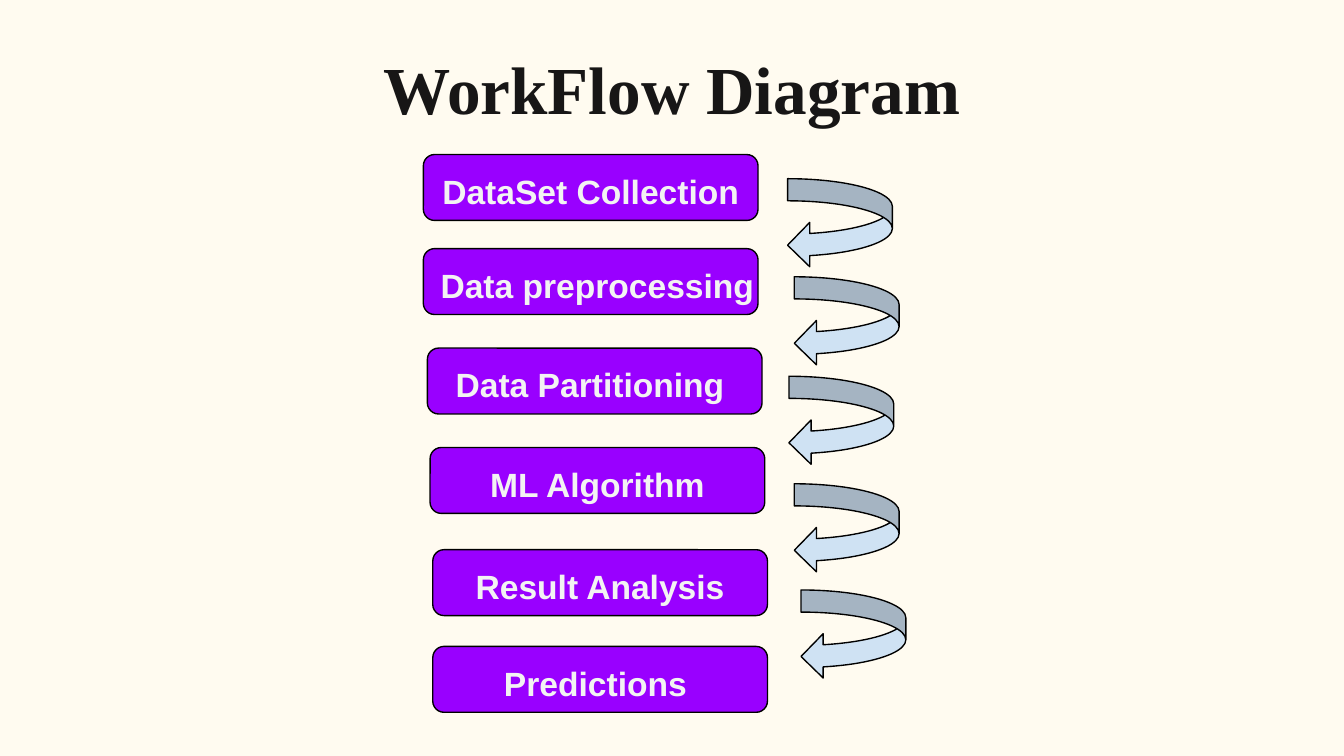
"""Builds the workflow diagram slide: six stages joined by curved arrows."""
import pptx
import pptx.dml.color
import pptx.enum.shapes
import pptx.enum.text
import pptx.util

TITLE = "WorkFlow Diagram"
STAGES = [
    ("DataSet Collection", 3.15, 1.15, 2.49),
    ("Data preprocessing ", 3.15, 1.85, 2.66),
    ("Data Partitioning ", 3.18, 2.59, 2.49),
    ("ML Algorithm", 3.2, 3.33, 2.49),
    ("Result Analysis", 3.22, 4.09, 2.49),
    ("Predictions ", 3.22, 4.81, 2.49),
]
TURNS = [(5.86, 1.33), (5.91, 2.06), (5.87, 2.8), (5.91, 3.6), (5.96, 4.39)]
SLIDE_WIDTH = 10
SLIDE_HEIGHT = SLIDE_WIDTH * 9 / 16
STAGE_SIZE = (2.49, 0.49)
TURN_SIZE = (0.78, 0.66)
LABEL_DROP, LABEL_HEIGHT = 0.02, 0.5
COLORS = {"paper": "FFFBF0", "title": "171616", "stage": "9900FF",
          "label": "F3F3F3", "turn": "CFE2F3", "outline": "000000"}
PRESETS = pptx.enum.shapes.MSO_SHAPE


def rgb(name):
    return pptx.dml.color.RGBColor.from_string(COLORS[name])


def inches(*lengths):
    return [pptx.util.Inches(length) for length in lengths]


def add_text(text, box, size=18, font="Arial", color="label"):
    frame = slide.shapes.add_textbox(*inches(*box)).text_frame
    frame.word_wrap = True
    frame.margin_left, frame.margin_right, frame.margin_top, frame.margin_bottom = inches(
        0.1, 0.1, 0.1, 0.1)
    paragraph = frame.paragraphs[0]
    paragraph.alignment = pptx.enum.text.PP_ALIGN.CENTER
    run = paragraph.add_run()
    run.text = text
    run.font.name = font
    run.font.size = pptx.util.Pt(size)
    run.font.bold = True
    run.font.color.rgb = rgb(color)


def add_outlined(preset, box, color):
    shape = slide.shapes.add_shape(preset, *inches(*box))
    shape.shadow.inherit = False
    shape.fill.solid()
    shape.fill.fore_color.rgb = rgb(color)
    shape.line.color.rgb = rgb("outline")
    shape.line.width = pptx.util.Pt(0.75)
    return shape


deck = pptx.Presentation()
deck.slide_width, deck.slide_height = inches(SLIDE_WIDTH, SLIDE_HEIGHT)
slide = deck.slides.add_slide(deck.slide_layouts[6])
slide.background.fill.solid()
slide.background.fill.fore_color.rgb = rgb("paper")

add_text(TITLE, (0.34, 0.25, 9.32, 0.68), size=36, font="Times New Roman", color="title")

for label, left, top, label_width in STAGES:
    stage = add_outlined(PRESETS.ROUNDED_RECTANGLE, (left, top, *STAGE_SIZE), "stage")
    stage.adjustments[0] = 0.17
    add_text(label, (left, top + LABEL_DROP, label_width, LABEL_HEIGHT))

for corner in TURNS:
    turn = add_outlined(PRESETS.CURVED_LEFT_ARROW, (*corner, *TURN_SIZE), "turn")
    for index, share in enumerate((0.25, 0.5, 0.25)):
        turn.adjustments[index] = share

deck.save("out.pptx")
